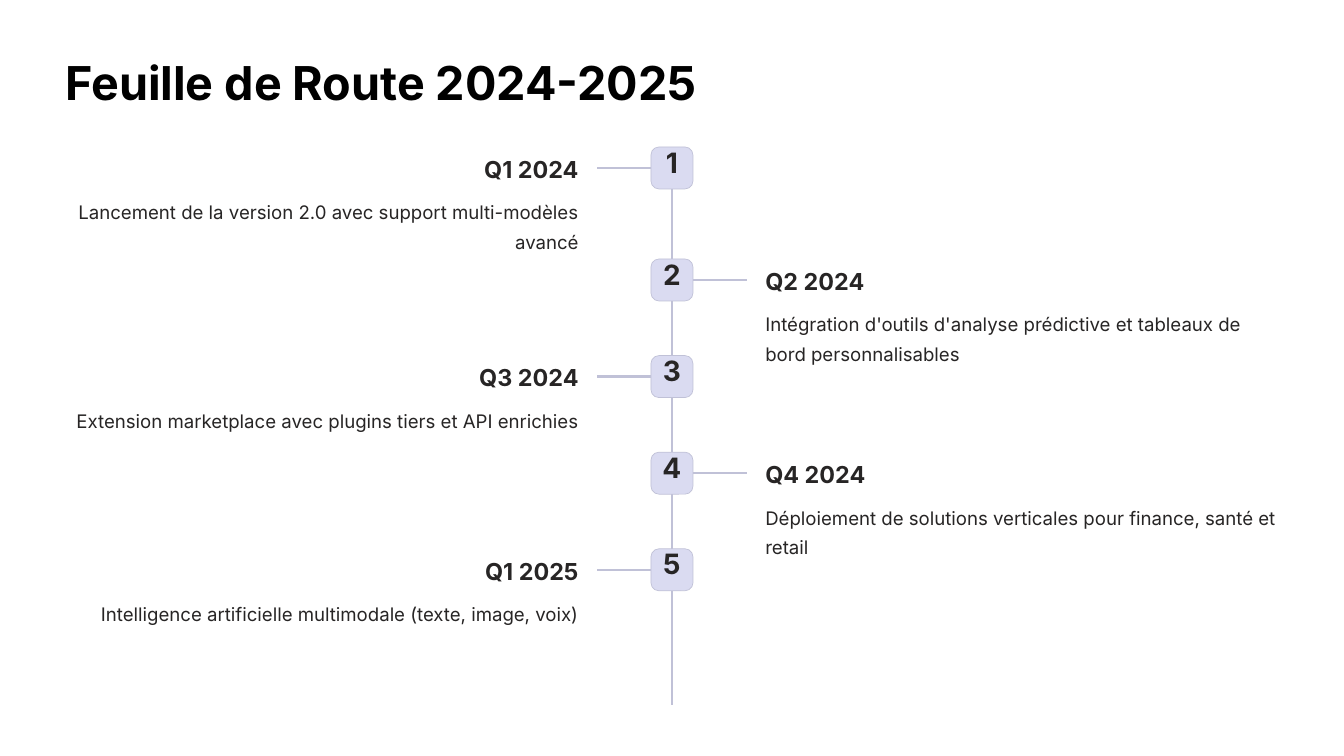
import pptx
import pptx.util
import pptx.dml.color
import pptx.enum.shapes
import pptx.enum.text
import lxml.etree

Pt = pptx.util.Pt
PP_ALIGN = pptx.enum.text.PP_ALIGN
MSO_SHAPE = pptx.enum.shapes.MSO_SHAPE
LINE, BADGE, INK = "C0C1D7", "DADBF1", "272525"
AXIS = 576
SIDE = 36

milestones = [
    ("Q1 2024", "Lancement de la version 2.0 avec support multi-modèles avancé", 126, 51),
    ("Q2 2024", "Intégration d'outils d'analyse prédictive et tableaux de bord personnalisables", 222, 51),
    ("Q3 2024", "Extension marketplace avec plugins tiers et API enrichies", 304.8, 26),
    ("Q4 2024", "Déploiement de solutions verticales pour finance, santé et retail", 387.6, 51),
    ("Q1 2025", "Intelligence artificielle multimodale (texte, image, voix)", 470.4, 26),
]

prs = pptx.Presentation()
prs.slide_width, prs.slide_height = Pt(1152), Pt(648)
s = prs.slides.add_slide(prs.slide_layouts[5])


def write(sp, text, size, spacing, align, bold=True, color=INK, top=0, wrap=True):
    tf = sp.text_frame
    tf.margin_left = tf.margin_right = tf.margin_bottom = 0
    tf.margin_top = Pt(top)
    tf.word_wrap = wrap
    tf.auto_size = pptx.enum.text.MSO_AUTO_SIZE.NONE
    tf.vertical_anchor = pptx.enum.text.MSO_ANCHOR.TOP
    p = tf.paragraphs[0]
    p.text = text
    p.alignment = align
    p.line_spacing = Pt(spacing)
    p.font.name = "Inter"
    p.font.size = Pt(size)
    p.font.bold = bold
    p.font.color.rgb = pptx.dml.color.RGBColor.from_string(color)


def connect(x1, y1, x2, y2):
    c = s.shapes.add_connector(pptx.enum.shapes.MSO_CONNECTOR.STRAIGHT, Pt(x1), Pt(y1), Pt(x2), Pt(y2))
    c.line.width = Pt(2)
    c.line.color.rgb = pptx.dml.color.RGBColor.from_string(LINE)
    sp_pr = c._element.spPr
    lxml.etree.SubElement(sp_pr, pptx.oxml.ns.qn("a:effectLst"))


title = s.shapes.title
title.left, title.top, title.width, title.height = Pt(56), Pt(44), Pt(542), Pt(50)
write(title, "Feuille de Route 2024-2025", 40, 50, PP_ALIGN.LEFT, color="000000", wrap=False)

connect(AXIS, 126, AXIS, 604)

for i, (quarter, goal, top, goal_height) in enumerate(milestones):
    on_left = i % 2 == 0
    align = PP_ALIGN.RIGHT if on_left else PP_ALIGN.LEFT
    middle = top + SIDE / 2
    direction = -1 if on_left else 1
    connect(AXIS + direction * 16, middle, AXIS + direction * 64, middle)

    badge = s.shapes.add_shape(MSO_SHAPE.ROUNDED_RECTANGLE, Pt(AXIS - SIDE / 2), Pt(top), Pt(SIDE), Pt(SIDE))
    badge.adjustments[0] = 0.19
    badge.shadow.inherit = False
    badge.fill.solid()
    badge.fill.fore_color.rgb = pptx.dml.color.RGBColor.from_string(BADGE)
    badge.line.color.rgb = pptx.dml.color.RGBColor.from_string(LINE)
    badge.line.width = Pt(0.6)
    write(badge, str(i + 1), 24, 24, PP_ALIGN.CENTER, top=1.2)

    heading = s.shapes.add_textbox(Pt(296 if on_left else 656), Pt(top + 5.8), Pt(200), Pt(25))
    write(heading, quarter, 20, 25, align)
    body = s.shapes.add_textbox(Pt(56 if on_left else 656), Pt(top + 40.2), Pt(440), Pt(goal_height))
    write(body, goal, 16, 25.5, align, bold=False)

prs.save("out.pptx")
